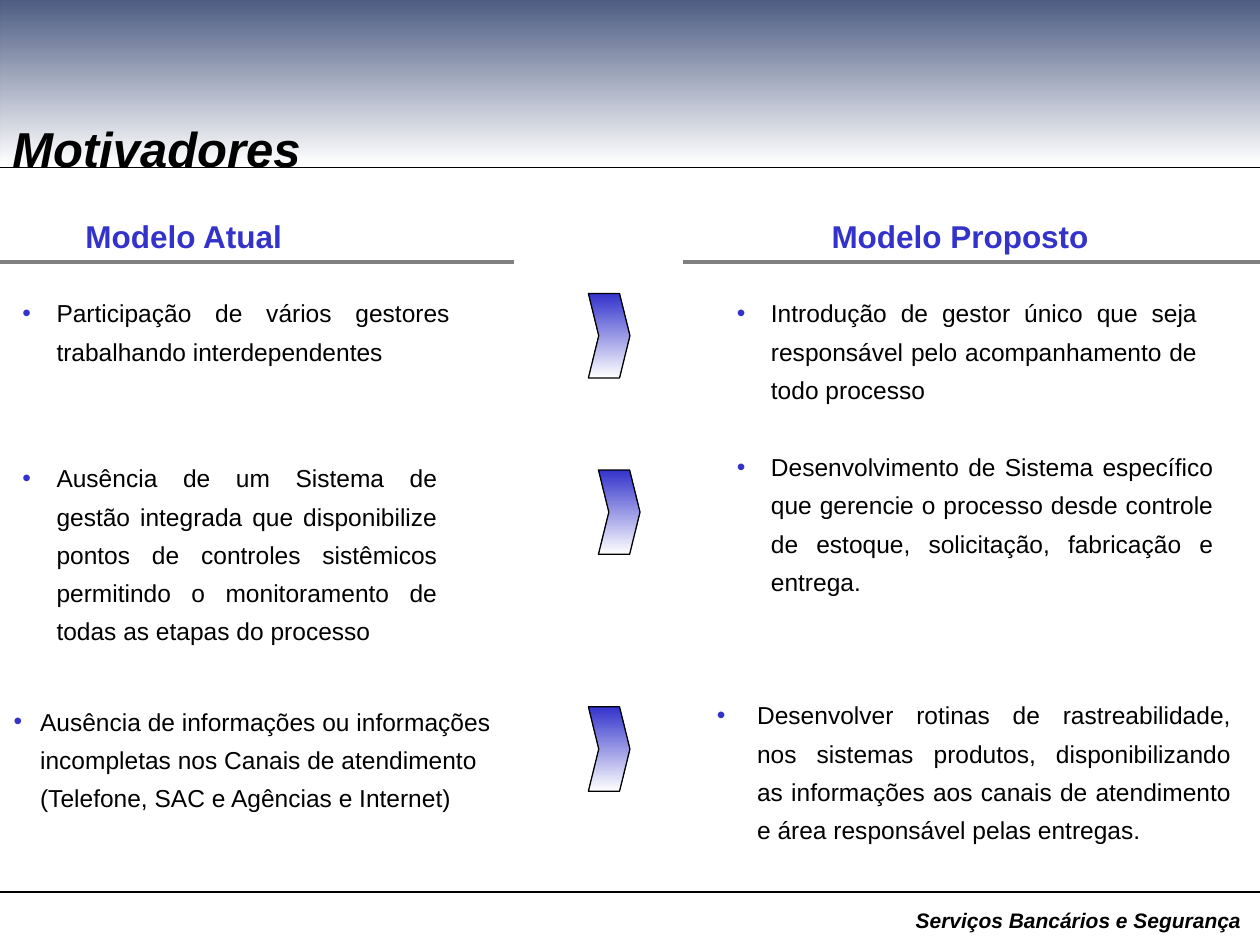
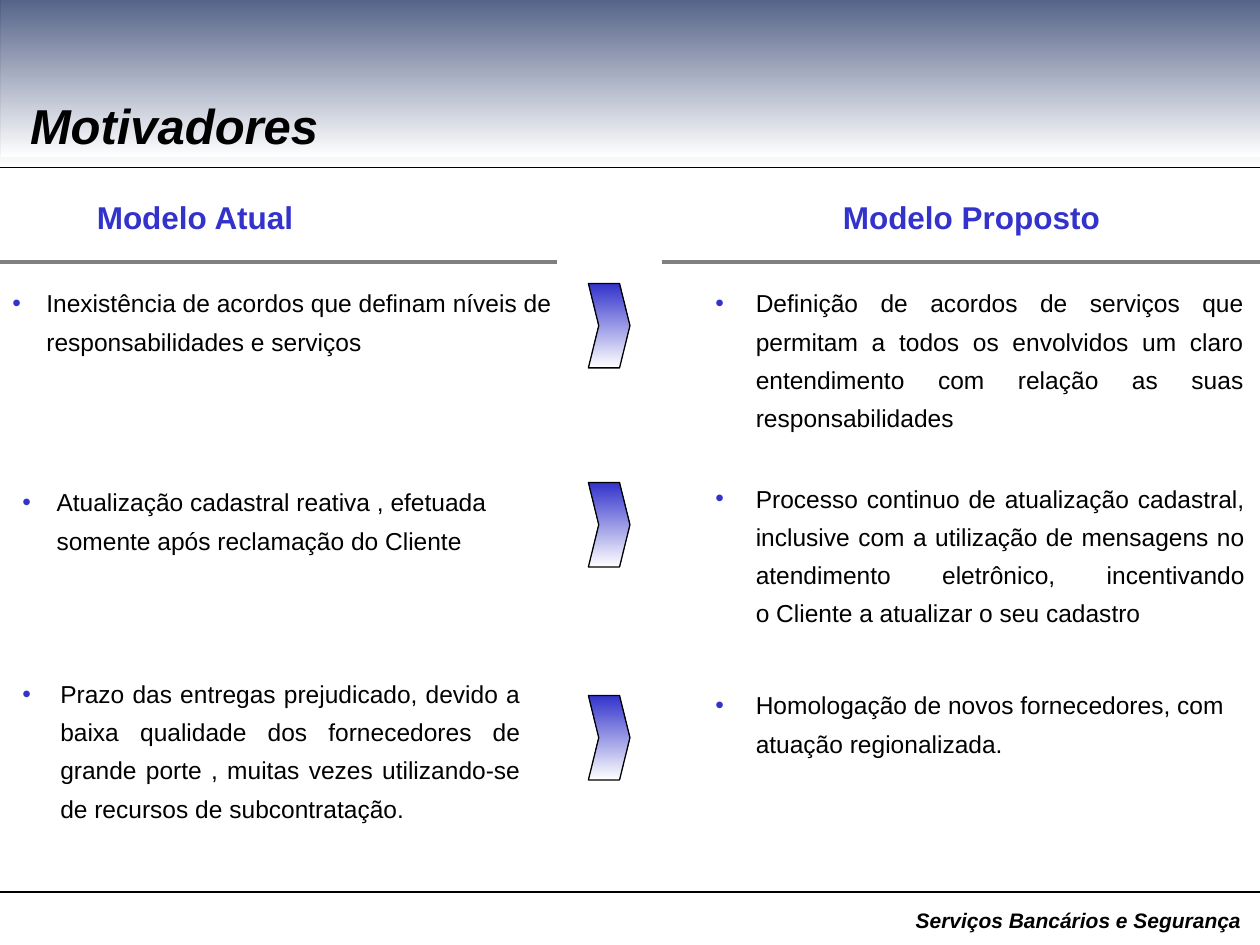
"""Builds two slides comparing the current and the proposed service model."""
from lxml import etree
from pptx import Presentation
from pptx import util as u
from pptx.dml import color
from pptx.enum import shapes, text
from pptx.oxml import ns

BLACK, WHITE, BLUE, GRAY, NAVY = "000000", "FFFFFF", "3333CC", "808080", "4B5A81"
LEFT, CENTER, JUSTIFY = text.PP_ALIGN.LEFT, text.PP_ALIGN.CENTER, text.PP_ALIGN.JUSTIFY
LINE_HEIGHT = 0.305
INSET = 0.1


def rgb(value):
    return color.RGBColor.from_string(value)


def add_text(slide, left, top, width, height, lines, size, tint=BLACK, bold=False,
             italic=False, align=LEFT):
    frame = slide.shapes.add_textbox(
        u.Inches(left), u.Inches(top), u.Inches(width), u.Inches(height)).text_frame
    frame.word_wrap = True
    paragraph = frame.paragraphs[0]
    paragraph.alignment = align
    for number, line in enumerate(lines):
        if number:
            paragraph.add_line_break()
        run = paragraph.add_run()
        run.text = line
        run.font.name, run.font.size = "Arial", u.Pt(size)
        run.font.bold, run.font.italic = bold, italic
        run.font.color.rgb = rgb(tint)
    return paragraph


# Each item: left, top, right edge of text, hanging indent, alignment, lines
slides = [
    dict(
        title=(0, 0.89), band=(0.01, -0.02), heading_top=1.67,
        headings=(0.58, 5.33), rules=(4.08, 5.42),
        chevrons=[(4.67, 2.33), (4.75, 3.73), (4.67, 5.61)],
        items=[
            (0.08, 2.25, 3.57, 0.27, JUSTIFY,
             ["Participação de vários gestores", "trabalhando interdependentes"]),
            (0.08, 3.56, 3.47, 0.27, JUSTIFY,
             ["Ausência de um Sistema de", "gestão integrada que disponibilize",
              "pontos de controles sistêmicos", "permitindo o monitoramento de",
              "todas as etapas do processo"]),
            (0.01, 5.49, 4.2, 0.21, LEFT,
             ["Ausência de informações ou informações",
              "incompletas nos Canais de atendimento",
              "(Telefone, SAC e Agências e Internet)"]),
            (5.75, 2.25, 9.5, 0.27, JUSTIFY,
             ["Introdução de gestor único que seja",
              "responsável pelo acompanhamento de", "todo processo"]),
            (5.75, 3.47, 9.63, 0.27, JUSTIFY,
             ["Desenvolvimento de Sistema específico",
              "que gerencie o processo desde controle",
              "de estoque, solicitação, fabricação e", "entrega."]),
            (5.59, 5.44, 9.77, 0.32, JUSTIFY,
             ["Desenvolver rotinas de rastreabilidade,",
              "nos sistemas produtos, disponibilizando",
              "as informações aos canais de atendimento",
              "e área responsável pelas entregas."]),
        ]),
    dict(
        title=(0.14, 0.71), band=(0.01, -0.08), heading_top=1.52,
        headings=(0.67, 5.42), rules=(4.42, 5.25),
        chevrons=[(4.67, 2.25), (4.67, 3.83), (4.67, 5.52)],
        items=[
            (0, 2.17, 4.6, 0.27, LEFT,
             ["Inexistência de acordos que definam níveis de",
              "responsabilidades e serviços"]),
            (0.08, 3.75, 4.2, 0.27, LEFT,
             ["Atualização cadastral reativa , efetuada",
              "somente após reclamação do Cliente"]),
            (0.08, 5.27, 4.13, 0.3, JUSTIFY,
             ["Prazo das entregas prejudicado, devido a",
              "baixa qualidade dos fornecedores de",
              "grande porte , muitas vezes utilizando-se",
              "de recursos de subcontratação."]),
            (5.58, 2.17, 9.87, 0.32, JUSTIFY,
             ["Definição de acordos de serviços que",
              "permitam a todos os envolvidos um claro",
              "entendimento com relação as suas", "responsabilidades"]),
            (5.58, 3.72, 9.88, 0.32, JUSTIFY,
             ["Processo continuo de atualização cadastral,",
              "inclusive com a utilização de mensagens no",
              "atendimento eletrônico, incentivando",
              "o Cliente a atualizar o seu cadastro"]),
            (5.58, 5.36, 9.88, 0.32, LEFT,
             ["Homologação de novos fornecedores, com", "atuação regionalizada."]),
        ]),
]

presentation = Presentation()
presentation.slide_width, presentation.slide_height = u.Inches(10), u.Inches(7.5)

for content in slides:
    slide = presentation.slides.add_slide(presentation.slide_layouts[6])

    bands = [(shapes.MSO_SHAPE.RECTANGLE, left, top, 10, 1.33, NAVY)
             for left, top in [(0, 0), content["band"]]]
    chevrons = [(shapes.MSO_SHAPE.CHEVRON, left, top, 0.33, 0.67, BLUE)
                for left, top in content["chevrons"]]
    for kind, left, top, width, height, tint in bands + chevrons:
        shape = slide.shapes.add_shape(
            kind, u.Inches(left), u.Inches(top), u.Inches(width), u.Inches(height))
        shape.shadow.inherit = False
        shape.fill.gradient()
        shape.fill.gradient_angle = 270
        for stop, stop_color in zip(shape.fill.gradient_stops, (tint, WHITE)):
            stop.color.rgb = rgb(stop_color)
        if kind == shapes.MSO_SHAPE.CHEVRON:
            shape.adjustments[0] = 0.25
            shape.line.color.rgb = rgb(BLACK)
            shape.line.width = u.Pt(0.75)
        else:
            shape.line.fill.background()

    left_end, right_start = content["rules"]
    for start, end, top, tint, weight in [
            (0, 10, 1.33, BLACK, 0.75), (0, 10, 7.08, BLACK, 0.75),
            (0, left_end, 2.08, GRAY, 2.25), (right_start, 10, 2.08, GRAY, 2.25)]:
        rule = slide.shapes.add_connector(
            shapes.MSO_CONNECTOR.STRAIGHT,
            u.Inches(start), u.Inches(top), u.Inches(end), u.Inches(top))
        rule.line.color.rgb = rgb(tint)
        rule.line.width = u.Pt(weight)
        etree.SubElement(rule._element.spPr, ns.qn("a:effectLst"))

    add_text(slide, *content["title"], 9, 0.55, ["Motivadores"], 28, bold=True, italic=True)
    current_left, proposed_left = content["headings"]
    for left, width, heading, align in [(current_left, 2.75, "Modelo Atual", LEFT),
                                        (proposed_left, 4.58, "Modelo Proposto", CENTER)]:
        add_text(slide, left, content["heading_top"], width, 0.4, [heading], 18,
                 BLUE, bold=True, align=align)
    add_text(slide, 6.95, 7.15, 3, 0.3, ["Serviços Bancários e Segurança"], 12,
             bold=True, italic=True, align=text.PP_ALIGN.RIGHT)

    for left, top, right, hang, align, lines in content["items"]:
        paragraph = add_text(slide, left, top, right + INSET - left,
                             len(lines) * LINE_HEIGHT + INSET, lines, 14, align=align)
        paragraph.line_spacing = 1.3
        properties = paragraph._p.get_or_add_pPr()
        properties.set("marL", str(u.Inches(hang)))
        properties.set("indent", str(-u.Inches(hang)))
        bullet_color = etree.SubElement(properties, ns.qn("a:buClr"))
        etree.SubElement(bullet_color, ns.qn("a:srgbClr"), val=BLUE)
        etree.SubElement(properties, ns.qn("a:buFont"), typeface="Arial")
        etree.SubElement(properties, ns.qn("a:buChar"), char="•")

presentation.save("out.pptx")
